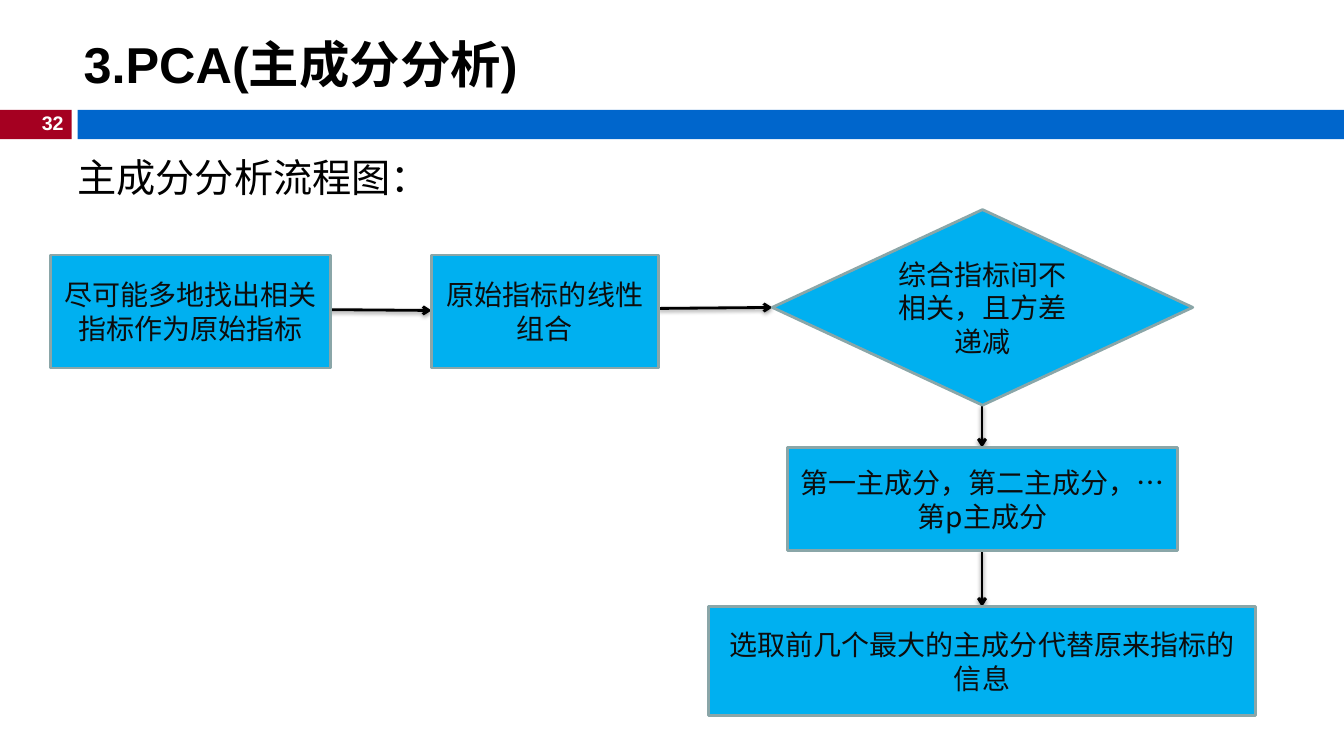
from dataclasses import dataclass

from lxml import etree
from pptx import Presentation
from pptx.dml.color import RGBColor
from pptx.enum.shapes import MSO_CONNECTOR, MSO_SHAPE
from pptx.enum.text import MSO_ANCHOR, MSO_AUTO_SIZE, PP_ALIGN
from pptx.oxml import parse_xml
from pptx.oxml.ns import nsdecls, qn
from pptx.util import Emu, Pt

PROCESS = MSO_SHAPE.FLOWCHART_PROCESS
DECISION = MSO_SHAPE.FLOWCHART_DECISION
RECTANGLE = MSO_SHAPE.RECTANGLE
STRAIGHT = MSO_CONNECTOR.STRAIGHT
TOP, MIDDLE = MSO_ANCHOR.TOP, MSO_ANCHOR.MIDDLE
FIT_SHAPE, FIT_NONE = MSO_AUTO_SIZE.SHAPE_TO_FIT_TEXT, MSO_AUTO_SIZE.NONE
LEFT, CENTER, RIGHT = PP_ALIGN.LEFT, PP_ALIGN.CENTER, PP_ALIGN.RIGHT
EMU_PER_PX = 9144


@dataclass(frozen=True)
class Theme:
    black: str = "000000"
    white: str = "FFFFFF"
    red: str = "A50021"
    blue: str = "0066CC"
    step_fill: str = "00B0F0"
    step_line: str = "8AA6A8"
    step_text: str = "0D0D0D"
    latin: str = "Arial"
    chinese: str = "Noto Sans CJK SC"
    title_size: int = 36
    lead_size: int = 28
    step_size: int = 20
    number_size: int = 14
    line_width: int = 2


THEME = Theme()

STEPS = [
    (PROCESS, (50, 253, 278, 112), "尽可能多地找出相关指标作为原始指标"),
    (PROCESS, (428, 253, 225, 112), "原始指标的线性组合"),
    (DECISION, (766, 208, 417, 194), "综合指标间不相关，且方差递减"),
    (PROCESS, (781, 444, 387, 102), "第一主成分，第二主成分，…第p主成分"),
    (PROCESS, (703, 602, 542, 108), "选取前几个最大的主成分代替原来指标的信息"),
]
ARROWS = [
    (298, 307, 428, 308),
    (653, 306, 766, 305),
    (974, 402, 974, 444),
    (974, 546, 974, 602),
]


def px(*lengths):
    return [Emu(length * EMU_PER_PX) for length in lengths]


def color(code):
    return RGBColor.from_string(code)


def write(shape, text, *, size, ink=THEME.black, font=THEME.latin, bold=False,
          align=LEFT, anchor=TOP, wrap=True, fit=FIT_NONE):
    frame = shape.text_frame
    frame.word_wrap = wrap
    frame.auto_size = fit
    frame.vertical_anchor = anchor
    para = frame.paragraphs[0]
    para.alignment = align
    span = para.add_run()
    span.text = text
    span.font.size = Pt(size)
    span.font.bold = bold
    span.font.name = font
    span.font.color.rgb = color(ink)
    east_asian = etree.SubElement(span._r.get_or_add_rPr(), qn("a:ea"))
    east_asian.set("typeface", THEME.chinese)


def add_box(page, kind, place, fill, line=None):
    box = page.shapes.add_shape(kind, *px(*place))
    box.shadow.inherit = False
    box.fill.solid()
    box.fill.fore_color.rgb = color(fill)
    if line:
        box.line.color.rgb = color(line)
        box.line.width = Pt(THEME.line_width)
    else:
        box.line.fill.background()
    return box


def add_label(page, place, text, **style):
    label = page.shapes.add_textbox(*px(*place))
    write(label, text, fit=FIT_SHAPE, **style)


def add_step(page, kind, place, text):
    box = add_box(page, kind, place, THEME.step_fill, THEME.step_line)
    write(box, text, size=THEME.step_size, ink=THEME.step_text,
          font=THEME.chinese, align=CENTER, anchor=MIDDLE)


def add_arrow(page, ends):
    arrow = page.shapes.add_connector(STRAIGHT, *px(*ends))
    arrow.line.color.rgb = color(THEME.black)
    arrow.line.width = Pt(THEME.line_width)
    etree.SubElement(arrow.line._get_or_add_ln(), qn("a:tailEnd")).set("type", "arrow")
    arrow._element.spPr.append(parse_xml(
        f'<a:effectLst {nsdecls("a")}>'
        f'<a:outerShdw blurRad="{Pt(3.1)}" dist="{Pt(1.6)}" dir="5400000" rotWithShape="0">'
        f'<a:srgbClr val="{THEME.black}"><a:alpha val="38000"/></a:srgbClr>'
        '</a:outerShdw></a:effectLst>'))


def add_title(page, place, text):
    title = page.shapes.title
    title.left, title.top, title.width, title.height = px(*place)
    write(title, text, size=THEME.title_size, bold=True, anchor=MIDDLE)


def main():
    deck = Presentation()
    deck.slide_width, deck.slide_height = px(1333, 750)
    page = deck.slides.add_slide(deck.slide_layouts.get_by_name("Title Only"))

    add_box(page, RECTANGLE, (0, 109, 71, 29), THEME.red)
    add_box(page, RECTANGLE, (77, 109, 1256, 29), THEME.blue)
    add_label(page, (29, 105, 44, 34), "32", size=THEME.number_size,
              ink=THEME.white, bold=True, align=RIGHT, wrap=False)
    add_title(page, (73, 26, 810, 74), "3.PCA(主成分分析)")
    add_label(page, (67, 147, 388, 57), "主成分分析流程图：", size=THEME.lead_size)

    for ends in ARROWS:
        add_arrow(page, ends)
    for kind, place, text in STEPS:
        add_step(page, kind, place, text)

    deck.save("out.pptx")


if __name__ == "__main__":
    main()
